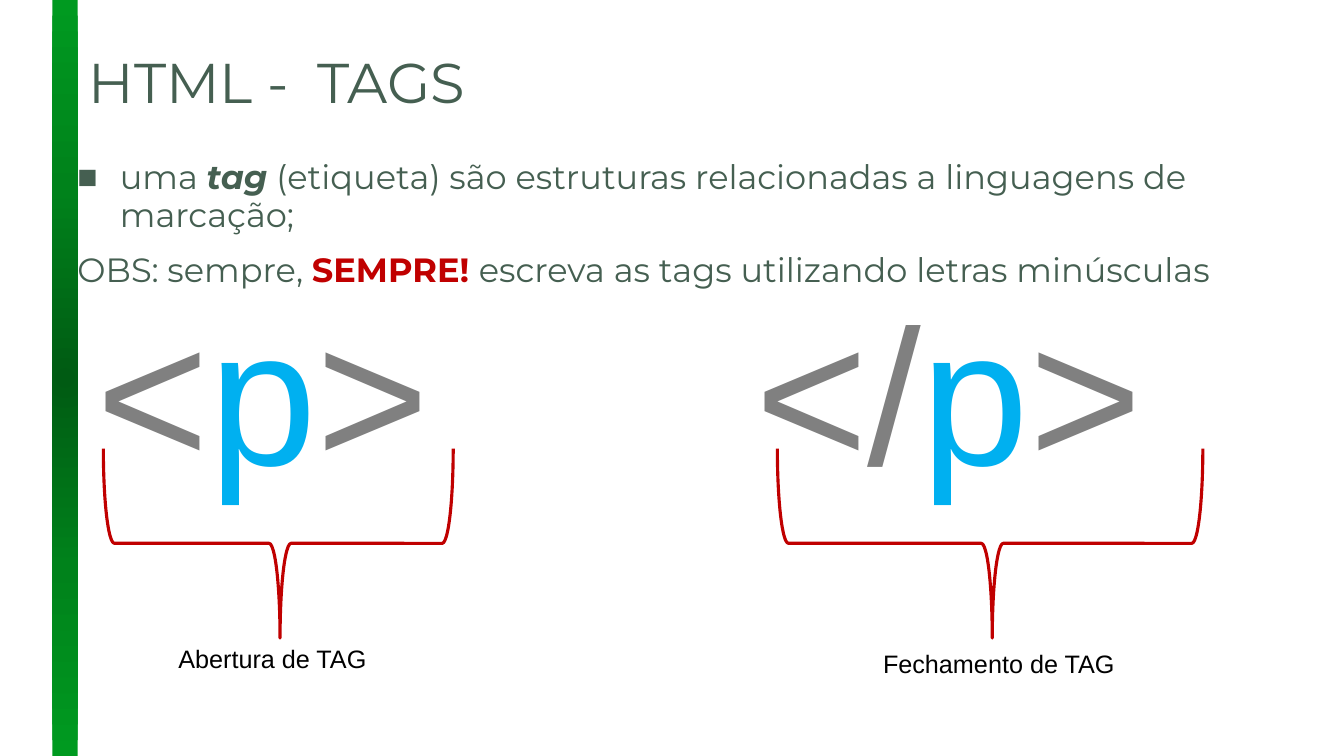
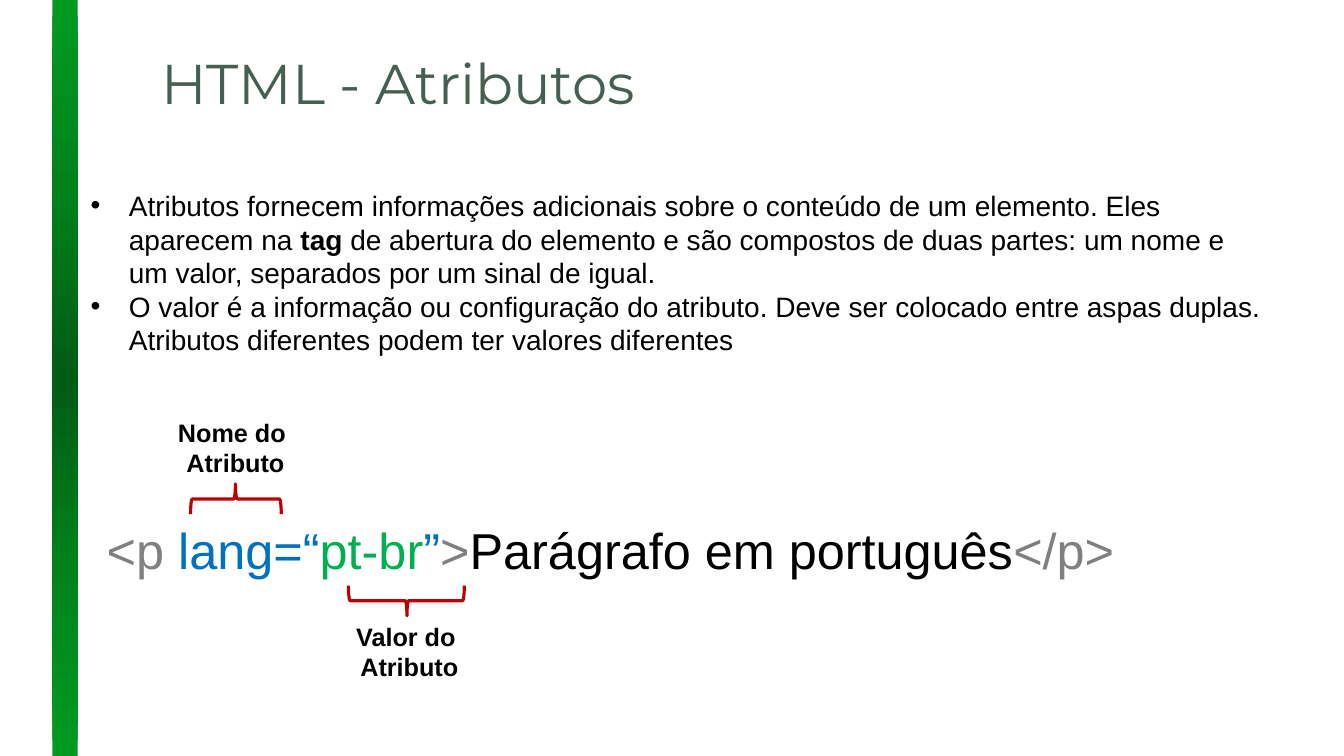
from dataclasses import dataclass

from pptx import Presentation
from pptx import util as u
from pptx.dml.color import RGBColor
from pptx.enum import shapes, text
from pptx.oxml import parse_xml
from pptx.oxml.ns import nsdecls, qn

GREEN_TEXT = "455F51"
RED = "C00000"
GRAY = "808080"
BLACK = "000000"
SKY = "00B0F0"
BLUE = "0070C0"
GREEN = "00B050"
SPINE_STOPS = ((0, "005B13"), (50, "00821B"), (100, "009A20"))
HEADING_FONT = "Montserrat"
BODY_FONT = "Arial"


@dataclass(frozen=True)
class Run:
    words: str
    color: str = BLACK
    bold: bool = False
    italic: bool = False


@dataclass(frozen=True)
class Paragraph:
    runs: tuple[Run, ...]
    bullet: str = ""
    indent: float = 0
    centered: bool = False


@dataclass(frozen=True)
class TextBox:
    left: float
    top: float
    width: float
    height: float
    paragraphs: tuple[Paragraph, ...]
    size: float
    font: str = BODY_FONT
    line_spacing: float = 1.0
    space_before: float = 0
    space_after: float = 0
    wrap: bool = True


@dataclass(frozen=True)
class Brace:
    center_x: float
    center_y: float
    span: float
    depth: float
    rotation: int = 90


def rgb(color: str) -> RGBColor:
    return RGBColor.from_string(color)


def draw_spine(slide) -> None:
    shape = slide.shapes.add_shape(
        shapes.MSO_SHAPE.RECTANGLE,
        u.Inches(0.52), u.Inches(0), u.Inches(0.25), u.Inches(7.5),
    )
    shape.shadow.inherit = False
    shape.line.fill.background()
    stops = "".join(
        f'<a:gs pos="{position * 1000}"><a:srgbClr val="{color}"/></a:gs>'
        for position, color in SPINE_STOPS
    )
    gradient = parse_xml(
        f'<a:gradFill {nsdecls("a")} rotWithShape="1"><a:gsLst>{stops}</a:gsLst>'
        '<a:path path="circle"><a:fillToRect l="50000" t="50000" r="50000" b="50000"/>'
        "</a:path></a:gradFill>"
    )
    shape._element.spPr.find(qn("a:prstGeom")).addnext(gradient)


def add_bullet(paragraph, symbol: str, indent: float) -> None:
    properties = paragraph._p.get_or_add_pPr()
    properties.set("marL", str(u.Inches(indent)))
    properties.set("indent", str(-u.Inches(indent)))
    properties.append(parse_xml(f'<a:buFont {nsdecls("a")} typeface="Arial"/>'))
    properties.append(parse_xml(f'<a:buChar {nsdecls("a")} char="{symbol}"/>'))


def draw_text(slide, box: TextBox) -> None:
    shape = slide.shapes.add_textbox(
        u.Inches(box.left), u.Inches(box.top), u.Inches(box.width), u.Inches(box.height)
    )
    frame = shape.text_frame
    frame.word_wrap = box.wrap
    frame.auto_size = text.MSO_AUTO_SIZE.NONE
    frame.vertical_anchor = text.MSO_ANCHOR.TOP
    for index, content in enumerate(box.paragraphs):
        paragraph = frame.add_paragraph() if index else frame.paragraphs[0]
        paragraph.alignment = text.PP_ALIGN.CENTER if content.centered else text.PP_ALIGN.LEFT
        paragraph.line_spacing = box.line_spacing
        paragraph.space_before = u.Pt(box.space_before if index else 0)
        paragraph.space_after = u.Pt(box.space_after)
        if content.bullet:
            add_bullet(paragraph, content.bullet, content.indent)
        for part in content.runs:
            run = paragraph.add_run()
            run.text = part.words
            run.font.name = box.font
            run.font.size = u.Pt(box.size)
            run.font.bold = part.bold
            run.font.italic = part.italic
            run.font.color.rgb = rgb(part.color)


def draw_brace(slide, brace: Brace) -> None:
    shape = slide.shapes.add_shape(
        shapes.MSO_SHAPE.RIGHT_BRACE,
        u.Inches(brace.center_x - brace.depth / 2),
        u.Inches(brace.center_y - brace.span / 2),
        u.Inches(brace.depth),
        u.Inches(brace.span),
    )
    shape.adjustments[0] = 0.058
    shape.adjustments[1] = 0.495
    shape.rotation = brace.rotation
    shape.shadow.inherit = False
    shape.fill.background()
    shape.line.color.rgb = rgb(RED)
    shape.line.width = u.Pt(2.25)


def add_slide(presentation, title: str, left: float, top: float):
    slide = presentation.slides.add_slide(presentation.slide_layouts[6])
    draw_spine(slide)
    heading = Paragraph((Run(title, GREEN_TEXT),))
    draw_text(slide, TextBox(left, top, 11, 0.8, (heading,), 40, HEADING_FONT, 0.89))
    return slide


def draw_tag(slide, left: float, width: float, opening: str) -> None:
    runs = (Run(opening, GRAY), Run("p", SKY), Run(">", GRAY))
    draw_text(slide, TextBox(left, 2.65, width, 2.42, (Paragraph(runs),), 138))


def draw_caption(slide, left: float, top: float, width: float, words: str) -> None:
    caption = Paragraph((Run(words),))
    draw_text(slide, TextBox(left, top, width, 0.4, (caption,), 18, wrap=False))


def draw_attribute_label(slide, left: float, top: float, width: float, first: str) -> None:
    lines = tuple(
        Paragraph((Run(words, bold=True),), centered=True) for words in (first, "Atributo")
    )
    draw_text(slide, TextBox(left, top, width, 0.71, lines, 18, wrap=False))


def build_tags_slide(presentation) -> None:
    slide = add_slide(presentation, "HTML -  TAGS", 0.78, 0.5)
    definition = Paragraph(
        (
            Run("uma ", GREEN_TEXT),
            Run("tag", GREEN_TEXT, bold=True, italic=True),
            Run(" (etiqueta) são estruturas relacionadas a linguagens de marcação;", GREEN_TEXT),
        ),
        "■",
        0.42,
    )
    remark = Paragraph(
        (
            Run("OBS: sempre, ", GREEN_TEXT),
            Run("SEMPRE! ", RED, bold=True),
            Run("escreva as tags utilizando letras minúsculas", GREEN_TEXT),
        )
    )
    draw_text(
        slide,
        TextBox(0.67, 1.53, 11.91, 1.2, (definition, remark), 24, HEADING_FONT, 0.94, 10, 2),
    )
    draw_tag(slide, 0.86, 4.04, "<")
    draw_brace(slide, Brace(2.76, 5.39, 3.47, 1.88))
    draw_caption(slide, 1.67, 6.33, 2.18, "Abertura de TAG")
    draw_tag(slide, 7.39, 5.09, "</")
    draw_brace(slide, Brace(9.82, 5.39, 4.22, 1.88))
    draw_caption(slide, 8.66, 6.38, 2.54, "Fechamento de TAG")


def build_attributes_slide(presentation) -> None:
    slide = add_slide(presentation, "HTML - Atributos", 1.5, 0.51)
    code = Paragraph(
        (
            Run("<p ", GRAY),
            Run("lang=“", BLUE),
            Run("pt-br", GREEN),
            Run("”", BLUE),
            Run(">", GRAY),
            Run("Parágrafo em português"),
            Run("</p>", GRAY),
        )
    )
    draw_text(slide, TextBox(0.96, 5.1, 11.9, 0.71, (code,), 36))
    draw_brace(slide, Brace(2.34, 4.95, 0.9, 0.3, 270))
    draw_attribute_label(slide, 1.65, 4.09, 1.37, "Nome do ")
    draw_brace(slide, Brace(4.03, 5.96, 1.15, 0.3))
    draw_attribute_label(slide, 3.42, 6.11, 1.28, "Valor do ")
    explanation = (
        (
            Run(
                "Atributos fornecem informações adicionais sobre o conteúdo de um elemento. "
                "Eles aparecem na "
            ),
            Run("tag", bold=True),
            Run(
                " de abertura do elemento e são compostos de duas partes: um nome e um valor, "
                "separados por um sinal de igual."
            ),
        ),
        (
            Run(
                "O valor é a informação ou configuração do atributo. Deve ser colocado entre "
                "aspas duplas. Atributos diferentes podem ter valores diferentes"
            ),
        ),
    )
    bullets = tuple(Paragraph(runs, "•", 0.38) for runs in explanation)
    draw_text(slide, TextBox(0.8, 1.82, 11.9, 2.12, bullets, 20))


def main() -> None:
    presentation = Presentation()
    presentation.slide_width = u.Inches(13.33)
    presentation.slide_height = u.Inches(7.5)
    build_tags_slide(presentation)
    build_attributes_slide(presentation)
    presentation.save("out.pptx")


if __name__ == "__main__":
    main()
